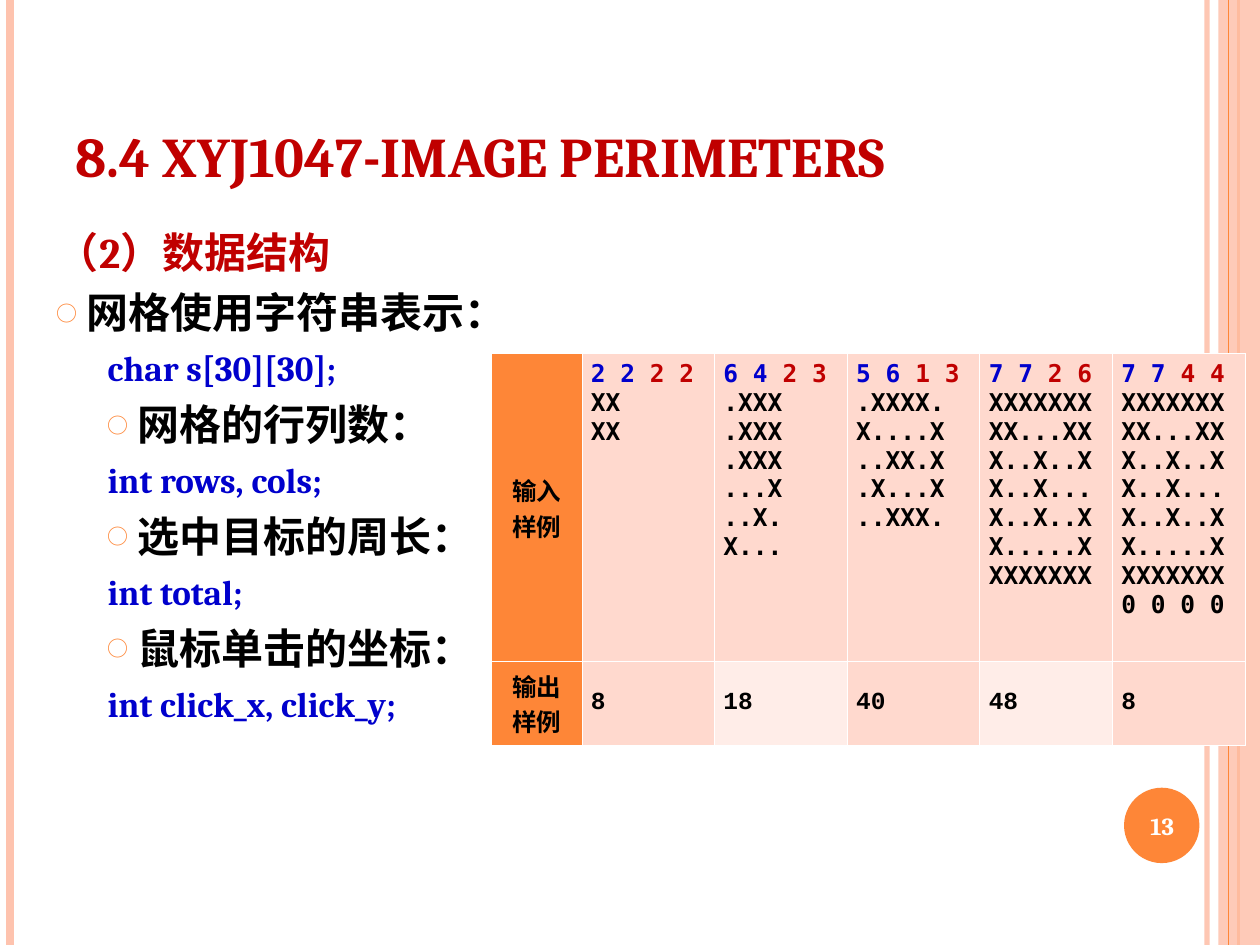
from lxml import etree
from pptx import Presentation
from pptx.dml.color import RGBColor
from pptx.enum.shapes import MSO_CONNECTOR, MSO_SHAPE
from pptx.enum.text import MSO_ANCHOR, PP_ALIGN
from pptx.oxml.ns import qn
from pptx.util import Cm, Pt

STRAIGHT = MSO_CONNECTOR.STRAIGHT
RECTANGLE, OVAL = MSO_SHAPE.RECTANGLE, MSO_SHAPE.OVAL
TOP, MIDDLE, BOTTOM = MSO_ANCHOR.TOP, MSO_ANCHOR.MIDDLE, MSO_ANCHOR.BOTTOM
CENTER, JUSTIFY = PP_ALIGN.CENTER, PP_ALIGN.JUSTIFY

ORANGE = RGBColor(0xFE, 0x86, 0x37)
PEACH = RGBColor(0xFE, 0xC3, 0xAE)
CELL = RGBColor(0xFF, 0xD9, 0xCE)
CELL_PALE = RGBColor(0xFF, 0xED, 0xE8)
RED = RGBColor(0xC0, 0x00, 0x00)
BLUE = RGBColor(0x00, 0x00, 0xCC)
BLACK = RGBColor(0x00, 0x00, 0x00)
WHITE = RGBColor(0xFF, 0xFF, 0xFF)

SERIF, MONO, COURIER, CJK = "Cambria", "DejaVu Sans Mono", "Courier New", "Noto Sans CJK SC"

WIDTH, HEIGHT = 25.4, 19.05

BODY = [
    ("heading", "（2）数据结构"),
    ("item", "网格使用字符串表示："),
    ("code", "char s[30][30];"),
    ("subitem", "网格的行列数："),
    ("code", "int rows, cols;"),
    ("subitem", "选中目标的周长："),
    ("code", "int total;"),
    ("subitem", "鼠标单击的坐标："),
    ("code", "int click_x, click_y;"),
]
# kind: size, color, space before, line height, margin, hanging
BODY_STYLES = {
    "heading": (24, RED, 6, 28.5, 0, 0),
    "item": (24, BLACK, 6, 28.5, 0.6, 0.6),
    "subitem": (24, BLACK, 6, 28.5, 1.62, 0.6),
    "code": (20, BLUE, 5, 24.5, 1.02, 0),
}
SAMPLES = [
    ("2 2 ", "2 2", ["XX", "XX"], "8"),
    ("6 4 ", "2 3", [".XXX", ".XXX", ".XXX", "...X", "..X.", "X..."], "18"),
    ("5 6 ", "1 3", [".XXXX.", "X....X", "..XX.X", ".X...X", "..XXX."], "40"),
    ("7 7 ", "2 6", ["XXXXXXX", "XX...XX", "X..X..X", "X..X...", "X..X..X",
                     "X.....X", "XXXXXXX"], "48"),
    ("7 7 ", "4 4", ["XXXXXXX", "XX...XX", "X..X..X", "X..X...", "X..X..X",
                     "X.....X", "XXXXXXX", "0 0 0 0"], "8"),
]


def add_run(p, text, size, color, font):
    r = p.add_run()
    r.text = text
    r.font.size, r.font.bold, r.font.name = Pt(size), True, font
    r.font.color.rgb = color
    etree.SubElement(r.font._element, qn("a:ea")).set("typeface", CJK)


def add_text_box(s, box, anchor):
    tf = s.shapes.add_textbox(*map(Cm, box)).text_frame
    tf.word_wrap, tf.vertical_anchor = True, anchor
    return tf


def set_alpha(element, percent):
    color = next(element.iter(qn("a:srgbClr")))
    etree.SubElement(color, qn("a:alpha")).set("val", str(percent * 1000))


def add_rule(s, x, top, height, color, width):
    line = s.shapes.add_connector(STRAIGHT, Cm(x), Cm(top), Cm(x), Cm(top + height))
    line.line.color.rgb, line.line.width = color, Pt(width)
    etree.SubElement(line._element.spPr, qn("a:effectLst"))
    return line


def add_plain_shape(s, kind, box, color):
    sp = s.shapes.add_shape(kind, *map(Cm, box))
    sp.shadow.inherit = False
    sp.fill.solid()
    sp.fill.fore_color.rgb = color
    sp.line.fill.background()
    return sp


def draw_frame(s, left, top, width, height):
    right = left + width
    rule = add_rule(s, right - 1.07, top, height, PEACH, 3)
    set_alpha(rule._element.spPr, 93)
    add_rule(s, left + 0.21, top, height, PEACH, 4.5)
    add_rule(s, right - 0.43, top, height, ORANGE, 1.5)
    band = add_plain_shape(s, RECTANGLE, (right - 0.84, top, 0.84, height), PEACH)
    set_alpha(band._element.spPr, 87)
    add_rule(s, right - 0.63, top, height, ORANGE, 0.75)


def draw_page_number(s, left, top, size):
    add_plain_shape(s, OVAL, (left, top, size, size), ORANGE)
    tf = add_text_box(s, (left - 0.08, top + 0.05, size + 0.18, size - 0.07), MIDDLE)
    p = tf.paragraphs[0]
    p.alignment = CENTER
    add_run(p, "13", 14, WHITE, SERIF)


def draw_title(s, *box):
    tf = add_text_box(s, box, BOTTOM)
    add_run(tf.paragraphs[0], "8.4 XYJ1047-IMAGE PERIMETERS", 32, RED, SERIF)


def add_bullet(pPr):
    color = etree.SubElement(etree.SubElement(pPr, qn("a:buClr")), qn("a:srgbClr"))
    color.set("val", str(ORANGE))
    etree.SubElement(pPr, qn("a:buSzPct")).set("val", "50000")
    etree.SubElement(pPr, qn("a:buFont")).set("typeface", CJK)
    etree.SubElement(pPr, qn("a:buChar")).set("char", "○")


def draw_body(s, *box):
    tf = add_text_box(s, box, TOP)
    for i, (kind, text) in enumerate(BODY):
        size, color, before, height, margin, hanging = BODY_STYLES[kind]
        p = tf.add_paragraph() if i else tf.paragraphs[0]
        p.space_before, p.line_spacing = Pt(before), Pt(height)
        p.level = 1 if kind == "code" else 0
        pPr = p._p.get_or_add_pPr()
        pPr.set("marL", str(Cm(margin)))
        pPr.set("indent", str(-Cm(hanging)))
        if hanging:
            add_bullet(pPr)
        add_run(p, text, size, color, SERIF)


def fill_cell(cell, lines, fill, anchor, alignment, font):
    cell.fill.solid()
    cell.fill.fore_color.rgb = fill
    cell.vertical_anchor = anchor
    cell.margin_left = cell.margin_right = Cm(0.18)
    tf = cell.text_frame
    for i, runs in enumerate(lines):
        p = tf.add_paragraph() if i else tf.paragraphs[0]
        p.alignment = alignment
        for text, color in runs:
            add_run(p, text, 14, color, font)
    tcPr = cell._tc.get_or_add_tcPr()
    for i, side in enumerate(("a:lnL", "a:lnR", "a:lnT", "a:lnB")):
        border = etree.Element(qn(side), w=str(Pt(0.45)))
        solid = etree.SubElement(border, qn("a:solidFill"))
        etree.SubElement(solid, qn("a:srgbClr")).set("val", str(WHITE))
        tcPr.insert(i, border)


def draw_samples(s, left, top, width, height):
    head_width, output_height = 1.82, 1.7
    table = s.shapes.add_table(2, len(SAMPLES) + 1, Cm(left), Cm(top),
                               Cm(width), Cm(height)).table
    table.rows[0].height = Cm(height - output_height)
    table.rows[1].height = Cm(output_height)
    for i, col in enumerate(table.columns):
        col.width = Cm((width - head_width) / len(SAMPLES) if i else head_width)
    for row, label in enumerate(("输入", "输出")):
        lines = [[(label, BLACK)], [("样例", BLACK)]]
        fill_cell(table.cell(row, 0), lines, ORANGE, MIDDLE, CENTER, CJK)
    for col, (grid_size, click, grid, perimeter) in enumerate(SAMPLES, 1):
        lines = [[(grid_size, BLUE), (click, RED)]] + [[(row, BLACK)] for row in grid]
        fill_cell(table.cell(0, col), lines, CELL, TOP, JUSTIFY, MONO)
        fill = CELL if col % 2 else CELL_PALE
        fill_cell(table.cell(1, col), [[(perimeter, BLACK)]], fill, MIDDLE, JUSTIFY, COURIER)


def main():
    prs = Presentation()
    prs.slide_width, prs.slide_height = Cm(WIDTH), Cm(HEIGHT)
    s = prs.slides.add_slide(prs.slide_layouts[6])
    draw_frame(s, 0, 0, WIDTH, HEIGHT)
    draw_title(s, 1.27, 0.76, 20.75, 3.18)
    draw_body(s, 0.9, 4.45, 17.02, 13.54)
    draw_page_number(s, 22.66, 15.88, 1.52)
    draw_samples(s, 9.91, 7.13, 15.19, 7.9)
    prs.save("out.pptx")


if __name__ == "__main__":
    main()
